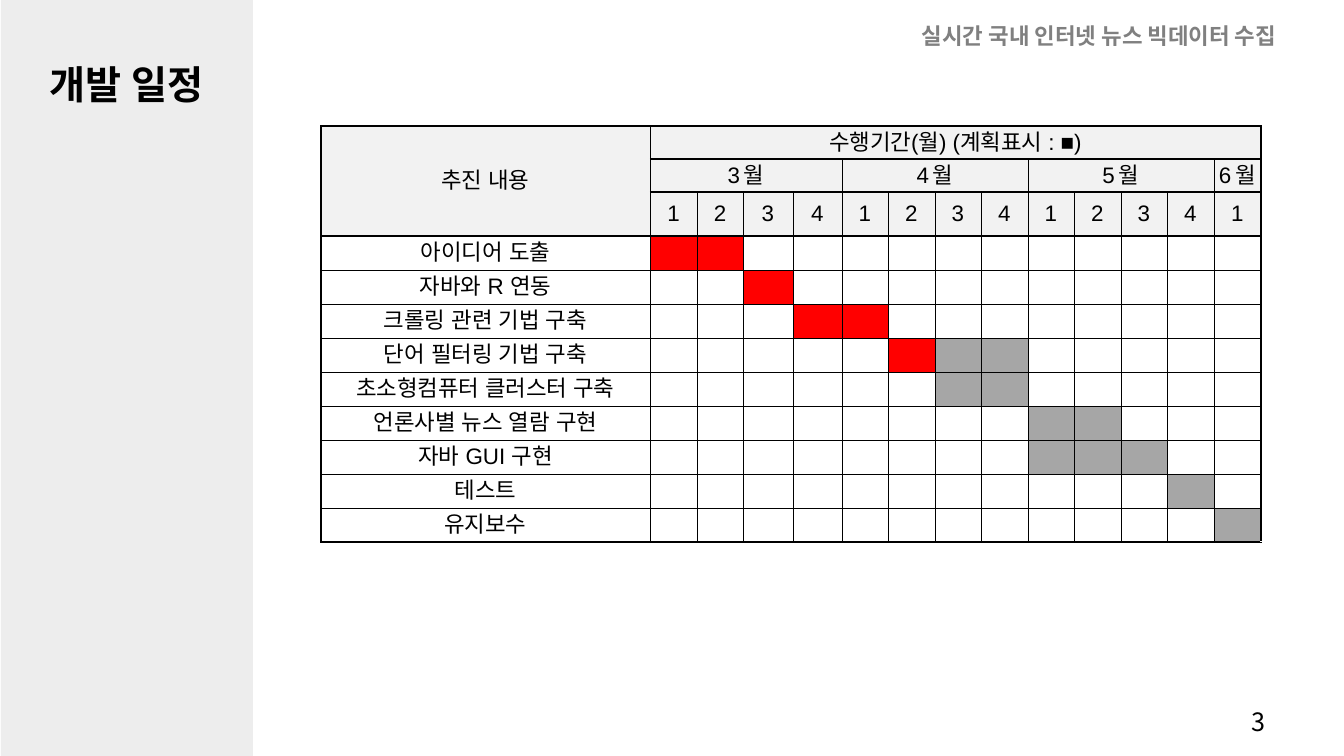
from lxml import etree
from pptx import Presentation
from pptx import util as u
from pptx.dml.color import RGBColor
from pptx.enum import shapes, text
from pptx.oxml import ns

EMU_PER_PX = 914400 / 100.8
COLORS = {
    "black": "000000", "white": "FFFFFF", "sidebar": "EDEDED",
    "running": "808080", "head": "F2F2F2", "done": "FF0000", "planned": "A6A6A6",
}

MONTHS = [("3 월", 4), ("4 월", 4), ("5 월", 4), ("6 월", 1)]
# Each task: name, first week column, number of weeks done, number of weeks planned
TASKS = [
    ("아이디어 도출", 1, 2, 0),
    ("자바와 R 연동", 3, 1, 0),
    ("크롤링 관련 기법 구축", 4, 2, 0),
    ("단어 필터링 기법 구축", 6, 1, 2),
    ("초소형컴퓨터 클러스터 구축", 7, 0, 2),
    ("언론사별 뉴스 열람 구현", 9, 0, 2),
    ("자바 GUI 구현", 9, 0, 3),
    ("테스트", 12, 0, 1),
    ("유지보수", 13, 0, 1),
]
HEAD_ROWS = 3
LAST_WEEK = sum(weeks for _, weeks in MONTHS)
MARGIN_COL = LAST_WEEK + 1
COL_WIDTHS = [329, 47, 46, 50, 49] + [46, 47] * 4 + [47, 79]
ROW_HEIGHTS = [33, 33, 44] + [34] * len(TASKS)

# Rule widths in points, one for each grid line
THIN, THICK, HEAVY, EDGE = 0.28, 1.41, 1.98, 1.5
ROW_RULES = [THICK] * HEAD_ROWS + [HEAVY] + [THIN] * (len(TASKS) - 1) + [THICK]
COL_RULES = [THICK] + [THIN] * LAST_WEEK + [EDGE]


def px(length):
    return u.Emu(round(length * EMU_PER_PX))


def rgb(name):
    return RGBColor.from_string(COLORS[name])


class SlideBuilder:
    def __init__(self, slide):
        self.slide = slide

    def set_text(self, paragraph, words, size, font="Arial", color="black", bold=False,
                 align=text.PP_ALIGN.LEFT, tracking=0):
        """Fill a paragraph and set its Latin and East Asian fonts alike."""
        paragraph.text = words
        paragraph.alignment = align
        style = paragraph.font
        style.size, style.name, style.bold = u.Pt(size), font, bold
        style.color.rgb = rgb(color)
        defaults = paragraph._p.pPr.find(ns.qn("a:defRPr"))
        if tracking:
            defaults.set("spc", str(tracking))
        etree.SubElement(defaults, ns.qn("a:ea"), typeface=font)
        if not words:
            etree.SubElement(paragraph._p, ns.qn("a:endParaRPr"), sz=str(size * 100))

    def panel(self, left, top, width, height, color):
        panel = self.slide.shapes.add_shape(
            shapes.MSO_SHAPE.RECTANGLE, *map(px, (left, top, width, height)))
        panel.shadow.inherit = False
        panel.fill.solid()
        panel.fill.fore_color.rgb = rgb(color)
        panel.line.fill.background()

    def label(self, left, top, width, height, words, size, line_spacing=None, **style):
        frame = self.slide.shapes.add_textbox(
            *map(px, (left, top, width, height))).text_frame
        frame.word_wrap = True
        frame.auto_size = text.MSO_AUTO_SIZE.SHAPE_TO_FIT_TEXT
        paragraph = frame.paragraphs[0]
        if line_spacing:
            paragraph.line_spacing = line_spacing
        self.set_text(paragraph, words, size, **style)

    def table(self, left, top, col_widths, row_heights):
        table = self.slide.shapes.add_table(
            len(row_heights), len(col_widths), px(left), px(top),
            px(sum(col_widths)), px(sum(row_heights))).table
        table.first_row = table.horz_banding = False
        for column, width in zip(table.columns, col_widths):
            column.width = px(width)
        for row, height in zip(table.rows, row_heights):
            row.height = px(height)
        return table

    def cell(self, cell, words, rules, fill=None, tracking=0, side_margin=3):
        """Style one cell; rules maps each side to a (width, color) pair."""
        cell.margin_left = cell.margin_right = px(side_margin)
        cell.margin_top = cell.margin_bottom = px(3)
        cell.vertical_anchor = text.MSO_ANCHOR.MIDDLE
        self.set_text(cell.text_frame.paragraphs[0], words, 16,
                      align=text.PP_ALIGN.CENTER, tracking=tracking)
        properties = cell._tc.get_or_add_tcPr()
        for side, (width, color) in rules.items():
            line = etree.SubElement(
                properties, ns.qn(f"a:ln{side}"), w=str(int(u.Pt(width))))
            solid = etree.SubElement(line, ns.qn("a:solidFill"))
            etree.SubElement(solid, ns.qn("a:srgbClr"), val=COLORS[color])
        if fill:
            cell.fill.solid()
            cell.fill.fore_color.rgb = rgb(fill)
        else:
            cell.fill.background()


def schedule_content():
    """Return words and fills of the schedule, both keyed by (row, column)."""
    words = {(0, 0): "추진 내용", (0, 1): "수행기간(월) (계획표시 : ■)"}
    fills = {(row, col): "head" for row in range(HEAD_ROWS) for col in range(MARGIN_COL)}
    first = 1
    for month, weeks in MONTHS:
        words[1, first] = month
        for week in range(weeks):
            words[2, first + week] = str(week + 1)
        first += weeks
    for row, (task, start, done, planned) in enumerate(TASKS, HEAD_ROWS):
        words[row, 0] = task
        for week in range(done + planned):
            fills[row, start + week] = "done" if week < done else "planned"
    return words, fills


def cell_rules(row, col, bottom, right):
    if col == MARGIN_COL:
        blank = (1, "white")
        return {"L": (EDGE, "black"), "R": blank, "T": blank, "B": blank}
    widths = {"L": COL_RULES[col], "R": COL_RULES[right],
              "T": ROW_RULES[row], "B": ROW_RULES[bottom]}
    return {side: (width, "black") for side, width in widths.items()}


def add_schedule(builder):
    schedule = builder.table(321, 126, COL_WIDTHS, ROW_HEIGHTS)
    schedule.cell(0, 0).merge(schedule.cell(HEAD_ROWS - 1, 0))
    schedule.cell(0, 1).merge(schedule.cell(0, LAST_WEEK))
    schedule.cell(0, MARGIN_COL).merge(schedule.cell(len(ROW_HEIGHTS) - 1, MARGIN_COL))
    first = 1
    for _, weeks in MONTHS:
        if weeks > 1:
            schedule.cell(1, first).merge(schedule.cell(1, first + weeks - 1))
        first += weeks

    words, fills = schedule_content()
    for row in range(len(ROW_HEIGHTS)):
        for col in range(len(COL_WIDTHS)):
            cell = schedule.cell(row, col)
            if cell.is_spanned:
                continue
            bottom, right = row + 1, col + 1
            if cell.is_merge_origin:
                bottom, right = row + cell.span_height, col + cell.span_width
            is_month = row == 1
            builder.cell(cell, words.get((row, col), ""),
                         cell_rules(row, col, bottom, right), fills.get((row, col)),
                         tracking=-170 if is_month else 0,
                         side_margin=0 if is_month and col == LAST_WEEK else 3)


def main():
    deck = Presentation()
    deck.slide_width, deck.slide_height = px(1344), px(756)
    builder = SlideBuilder(deck.slides.add_slide(deck.slide_layouts[6]))
    builder.panel(1, 0, 252, 756, "sidebar")
    builder.label(-5, 55, 263, 57, "개발 일정", 28, font="Roboto", bold=True,
                  align=text.PP_ALIGN.CENTER)
    builder.label(1242, 701, 54, 40, "3", 18, font="Noto Sans CJK KR")
    add_schedule(builder)
    builder.label(912, -2, 431, 49, "실시간 국내 인터넷 뉴스 빅데이터 수집", 16,
                  line_spacing=1.7, font="Noto Sans CJK KR", color="running", bold=True)
    deck.save("out.pptx")


if __name__ == "__main__":
    main()
